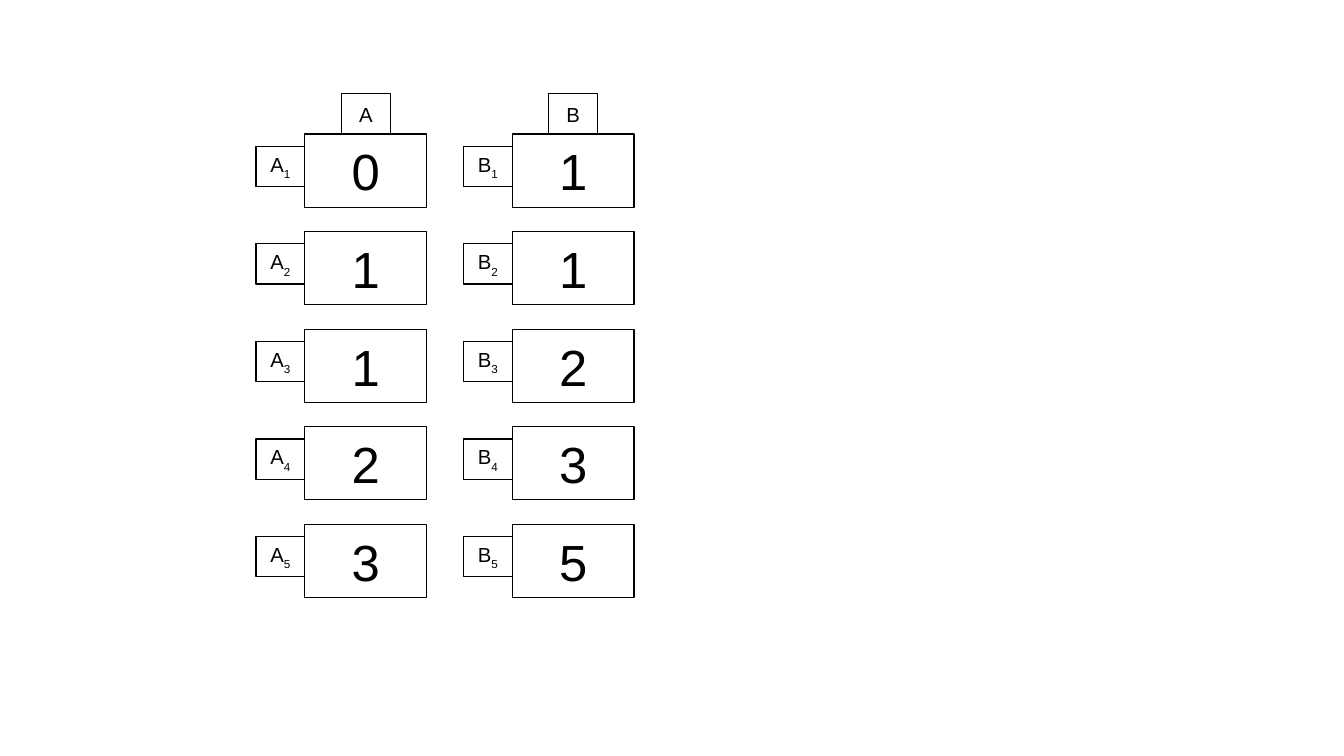
from pptx import Presentation
from pptx import util as u
from pptx.dml.color import RGBColor
from pptx.enum import shapes, text

COLORS = {"ink": "000000", "paper": "FFFFFF"}
COLUMNS = {"A": [0, 1, 1, 2, 3], "B": [1, 1, 2, 3, 5]}

# Lengths in points
LEFT, TOP = 180, 79.2
COLUMN_STEP, ROW_STEP = 122.4, 57.6
CELL_W, CELL_H = 72, 43.2
TAG_W, TAG_H = 28.8, 23.76
TAG_DROP = 7.2


class Board:
    """Holds the style and the current slide."""

    font = "Arial"
    line_width = 0.71
    frame_format = {
        "margin_left": u.Pt(7.2),
        "margin_right": u.Pt(7.2),
        "margin_top": u.Pt(3.6),
        "margin_bottom": u.Pt(3.6),
        "word_wrap": True,
        "vertical_anchor": text.MSO_ANCHOR.MIDDLE,
    }

    def __init__(self, slide):
        self.slide = slide

    def color(self, name):
        return RGBColor.from_string(COLORS[name])

    def background(self):
        fill = self.slide.background.fill
        fill.solid()
        fill.fore_color.rgb = self.color("paper")

    def box(self, left, top, width, height):
        box = self.slide.shapes.add_shape(
            shapes.MSO_SHAPE.RECTANGLE,
            u.Pt(left), u.Pt(top), u.Pt(width), u.Pt(height))
        box.shadow.inherit = False
        box.fill.background()
        box.line.color.rgb = self.color("ink")
        box.line.width = u.Pt(self.line_width)
        for name, value in self.frame_format.items():
            setattr(box.text_frame, name, value)
        paragraph = box.text_frame.paragraphs[0]
        paragraph.alignment = text.PP_ALIGN.CENTER
        return paragraph

    def add_words(self, paragraph, words, size):
        run = paragraph.add_run()
        run.text = words
        for name, value in {"name": self.font, "size": u.Pt(size)}.items():
            setattr(run.font, name, value)
        run.font.color.rgb = self.color("ink")
        return run

    def cell(self, left, top, number):
        self.add_words(self.box(left, top, CELL_W, CELL_H), str(number), 30)

    def tag(self, left, top, letter, index=None):
        label = self.box(left, top, TAG_W, TAG_H)
        self.add_words(label, letter, 12)
        if index is not None:
            subscript = self.add_words(label, str(index), 12)
            subscript.font._element.set("baseline", "-33000")


def main():
    deck = Presentation()
    deck.slide_width, deck.slide_height = u.Pt(793.44), u.Pt(446.4)
    board = Board(deck.slides.add_slide(deck.slide_layouts[6]))
    board.background()

    for column, (letter, numbers) in enumerate(COLUMNS.items()):
        left = LEFT + column * COLUMN_STEP

        # Column heading
        board.tag(left + (CELL_W - TAG_W) / 2, TOP - TAG_H, letter)

        # Numbered cells with their index tags
        for row, number in enumerate(numbers):
            top = TOP + row * ROW_STEP
            board.cell(left, top, number)
            board.tag(left - TAG_W, top + TAG_DROP, letter, row + 1)

    deck.save("out.pptx")


if __name__ == "__main__":
    main()
